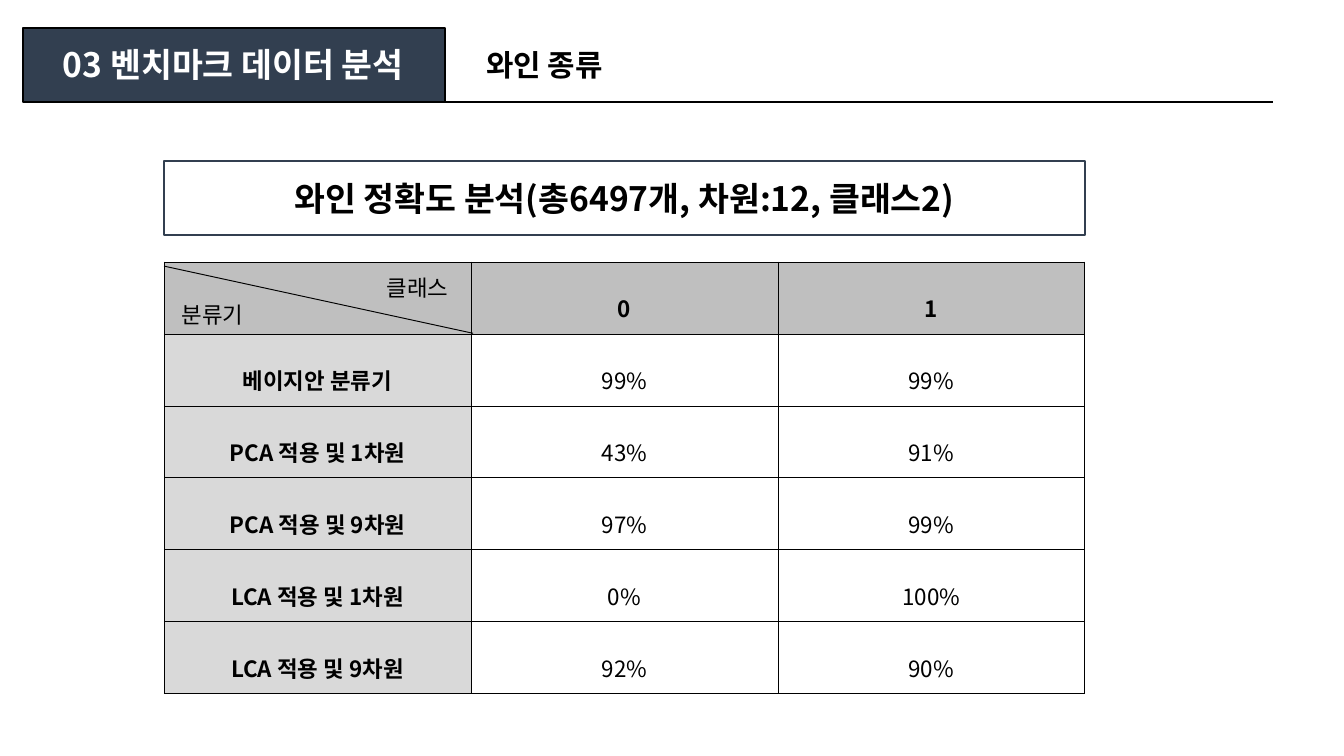
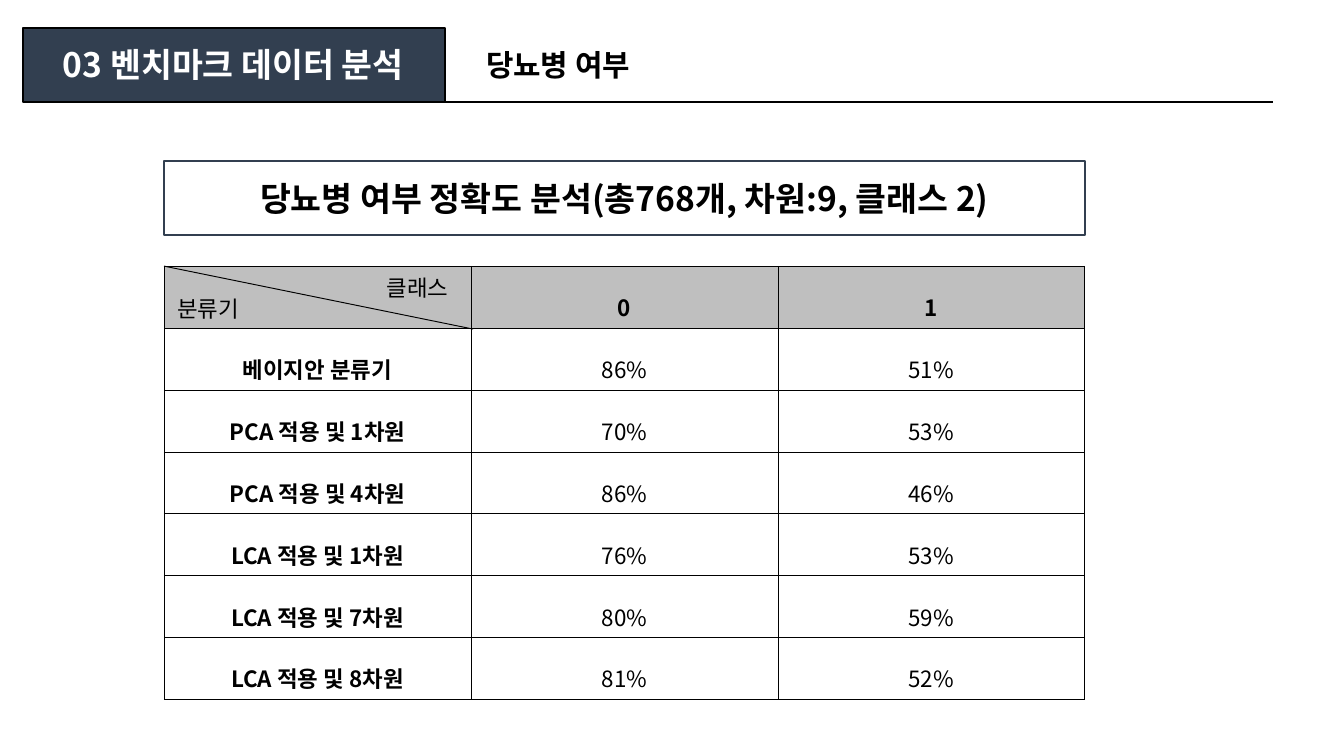
from lxml import etree
from pptx import Presentation
from pptx.dml.color import RGBColor
from pptx.enum.shapes import MSO_CONNECTOR, MSO_SHAPE
from pptx.enum.text import MSO_ANCHOR, MSO_AUTO_SIZE, PP_ALIGN
from pptx.oxml.ns import qn
from pptx.util import Cm, Pt

CENTER, LEFT = PP_ALIGN.CENTER, PP_ALIGN.LEFT
MIDDLE, TOP = MSO_ANCHOR.MIDDLE, MSO_ANCHOR.TOP
FIT_SHAPE = MSO_AUTO_SIZE.SHAPE_TO_FIT_TEXT
RECTANGLE, STRAIGHT = MSO_SHAPE.RECTANGLE, MSO_CONNECTOR.STRAIGHT
TITLE_ONLY = 5

# Content
SECTION = "03 벤치마크 데이터 분석"
CLASS_AXIS, CLASSIFIER_AXIS = "클래스", "분류기"
CLASSES = ("", "0", "1")
ANALYSES = [
    {
        "topic": "와인 종류",
        "topic_width": 2.82,
        "headline": "와인 정확도 분석(총6497개, 차원:12, 클래스2)",
        "accuracy": [
            ("베이지안 분류기", "99%", "99%"),
            ("PCA 적용 및 1차원", "43%", "91%"),
            ("PCA 적용 및 9차원", "97%", "99%"),
            ("LCA 적용 및 1차원", "0%", "100%"),
            ("LCA 적용 및 9차원", "92%", "90%"),
        ],
        "table_top": 4.95,
        "row_height": 1.36,
        "classifier_fill": "light",
        "diagonal_end": 6.3,
        "classifier_axis_at": (3.18, 5.56),
    },
    {
        "topic": "당뇨병 여부",
        "topic_width": 3.35,
        "headline": "당뇨병 여부 정확도 분석(총768개, 차원:9, 클래스 2)",
        "accuracy": [
            ("베이지안 분류기", "86%", "51%"),
            ("PCA 적용 및 1차원", "70%", "53%"),
            ("PCA 적용 및 4차원", "86%", "46%"),
            ("LCA 적용 및 1차원", "76%", "53%"),
            ("LCA 적용 및 7차원", "80%", "59%"),
            ("LCA 적용 및 8차원", "81%", "52%"),
        ],
        "table_top": 5.03,
        "row_height": 1.17,
        "classifier_fill": None,
        "diagonal_end": 6.22,
        "classifier_axis_at": (3.1, 5.46),
    },
]

# Shared style, lengths in centimetres
COLORS = {"navy": "323F50", "black": "000000", "white": "FFFFFF",
          "header": "BFBFBF", "light": "D9D9D9"}
FONT = "Noto Sans CJK KR"
BAND = (0.43, 0.53, 7.98, 1.4)
RULE_RIGHT = 24.05
CONTENT_LEFT, CONTENT_WIDTH = 3.1, 17.4
HEADLINE = (CONTENT_LEFT, 3.05, CONTENT_WIDTH, 1.4)
DIAGONAL_START, DIAGONAL_RIGHT = 5.03, 8.94
AXIS_SIZE = (1.73, 0.76)
BORDER_WIDTH = Pt(0.28)


def rgb(name):
    return RGBColor.from_string(COLORS[name])


def cms(lengths):
    return [Cm(length) for length in lengths]


def write(frame, text, size, color="black", bold=False, align=LEFT):
    """Fill a text frame with one paragraph in the shared font."""
    frame.text = text
    paragraph = frame.paragraphs[0]
    paragraph.alignment = align
    font = paragraph.font
    font.name, font.size, font.bold = FONT, Pt(size), bold
    font.color.rgb = rgb(color)
    defaults = paragraph._p.pPr.find(qn("a:defRPr"))
    east_asian = etree.Element(qn("a:ea"), typeface=FONT)
    defaults.find(qn("a:latin")).addnext(east_asian)
    return paragraph


def fit_to_text(frame):
    frame.word_wrap = False
    frame.auto_size = FIT_SHAPE
    frame.vertical_anchor = TOP


def add_label(slide, text, box, size, bold=False):
    frame = slide.shapes.add_textbox(*cms(box)).text_frame
    write(frame, text, size, bold=bold)
    fit_to_text(frame)


def add_box(slide, box, fill, line):
    shape = slide.shapes.add_shape(RECTANGLE, *cms(box))
    shape.shadow.inherit = False
    shape.fill.solid()
    shape.fill.fore_color.rgb = rgb(fill)
    shape.line.color.rgb = rgb(line)
    shape.line.width = Pt(1)
    return shape


def add_line(slide, ends, width):
    connector = slide.shapes.add_connector(STRAIGHT, *cms(ends))
    connector.line.color.rgb = rgb("black")
    connector.line.width = Pt(width)
    properties = connector.element.find(qn("p:spPr"))
    etree.SubElement(properties, qn("a:effectLst"))


def add_header(slide, topic, topic_width):
    left, top, width, height = BAND
    add_box(slide, BAND, "navy", "black")
    add_label(slide, topic, (8.94, 0.76, topic_width, 0.94), 16, bold=True)
    bottom = top + height
    add_line(slide, (left + width, bottom, RULE_RIGHT, bottom), 1)

    # The title sits in front of its band
    title = slide.shapes.title
    title.left, title.top, title.width, title.height = cms((0.79, 0.71, 7.24, 1.02))
    write(title.text_frame, SECTION, 18, "white", True, CENTER)
    fit_to_text(title.text_frame)
    title.element.getparent().append(title.element)


def style_cell(cell, text, fill, bold):
    cell.vertical_anchor = MIDDLE
    cell.margin_left = cell.margin_right = Cm(0.18)
    cell.margin_top = cell.margin_bottom = Cm(0.05)
    paragraph = write(cell.text_frame, text, 12, bold=bold, align=CENTER)
    paragraph.line_spacing = 1.6

    # Borders come before the fill in the cell properties
    properties = cell._tc.get_or_add_tcPr()
    for side in ("lnL", "lnR", "lnT", "lnB"):
        border = etree.SubElement(properties, qn(f"a:{side}"), w=str(BORDER_WIDTH))
        solid = etree.SubElement(border, qn("a:solidFill"))
        etree.SubElement(solid, qn("a:srgbClr"), val=COLORS["black"])
    if fill:
        cell.fill.solid()
        cell.fill.fore_color.rgb = rgb(fill)
    else:
        cell.fill.background()


def add_accuracy_table(slide, analysis):
    rows = [CLASSES, *analysis["accuracy"]]
    row_height = analysis["row_height"]
    box = (CONTENT_LEFT, analysis["table_top"], CONTENT_WIDTH, row_height * len(rows))
    table = slide.shapes.add_table(len(rows), len(CLASSES), *cms(box)).table
    table.first_row = table.horz_banding = False
    for column in table.columns:
        column.width = Cm(CONTENT_WIDTH / len(CLASSES))
    for r, values in enumerate(rows):
        table.rows[r].height = Cm(row_height)
        for c, text in enumerate(values):
            if r == 0:
                fill = "header"
            else:
                fill = analysis["classifier_fill"] if c == 0 else None
            style_cell(table.cell(r, c), text, fill, bold=r == 0 or c == 0)


def add_corner_labels(slide, analysis):
    add_line(slide, (CONTENT_LEFT, DIAGONAL_START,
                     DIAGONAL_RIGHT, analysis["diagonal_end"]), 0.5)
    add_label(slide, CLASS_AXIS, (7.06, 5.05, *AXIS_SIZE), 12)
    add_label(slide, CLASSIFIER_AXIS, (*analysis["classifier_axis_at"], *AXIS_SIZE), 12)


def build_slide(presentation, analysis):
    slide = presentation.slides.add_slide(presentation.slide_layouts[TITLE_ONLY])
    add_accuracy_table(slide, analysis)
    add_header(slide, analysis["topic"], analysis["topic_width"])
    headline = add_box(slide, HEADLINE, "white", "navy")
    headline.text_frame.vertical_anchor = MIDDLE
    write(headline.text_frame, analysis["headline"], 18, bold=True, align=CENTER)
    add_corner_labels(slide, analysis)


def main():
    presentation = Presentation()
    presentation.slide_width, presentation.slide_height = Cm(25.4), Cm(14.29)
    for analysis in ANALYSES:
        build_slide(presentation, analysis)
    presentation.save("out.pptx")


if __name__ == "__main__":
    main()
